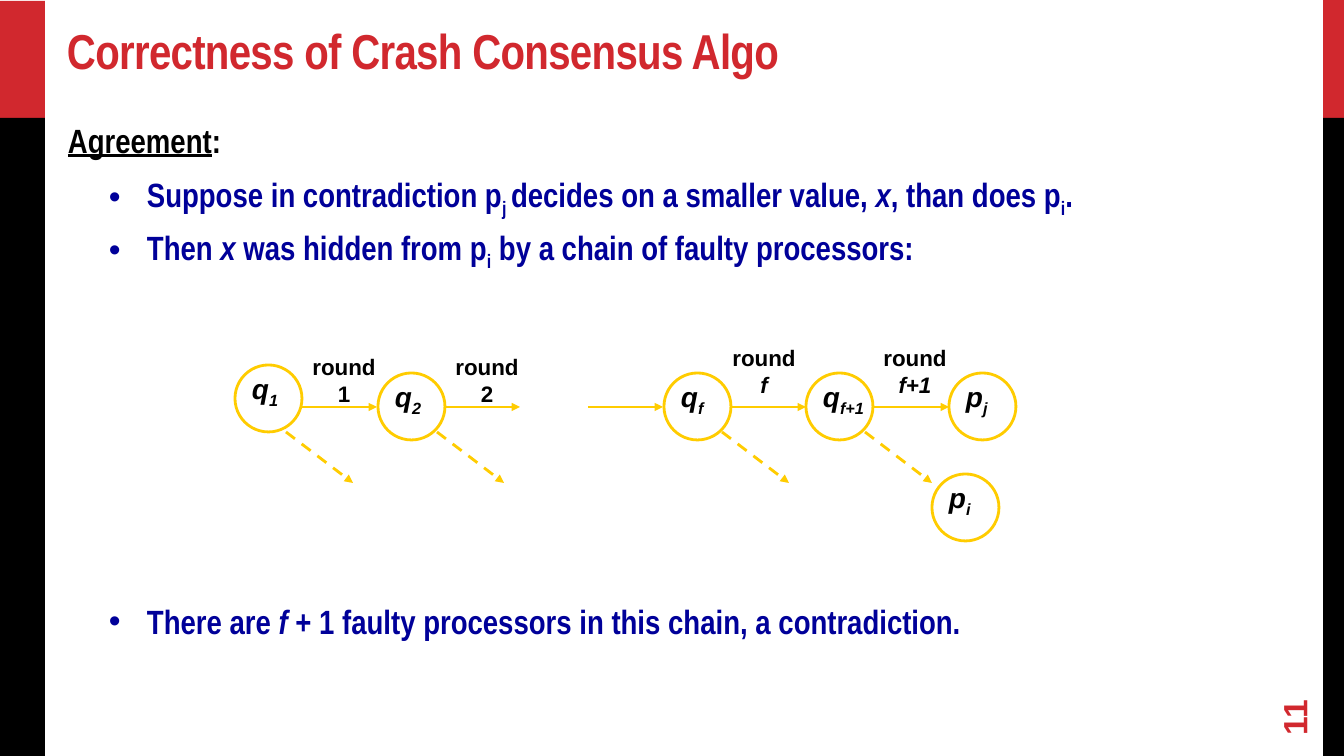
from lxml import etree
from pptx import Presentation
from pptx.dml.color import RGBColor
from pptx.enum.dml import MSO_LINE
from pptx.enum.shapes import MSO_CONNECTOR, MSO_SHAPE
from pptx.enum.text import MSO_ANCHOR, PP_ALIGN
from pptx.oxml.ns import qn
from pptx.util import Emu, Pt

RECT, OVAL = MSO_SHAPE.RECTANGLE, MSO_SHAPE.OVAL
STRAIGHT, DASH = MSO_CONNECTOR.STRAIGHT, MSO_LINE.DASH
TOP, MIDDLE, BOTTOM = MSO_ANCHOR.TOP, MSO_ANCHOR.MIDDLE, MSO_ANCHOR.BOTTOM
LEFT, CENTER = PP_ALIGN.LEFT, PP_ALIGN.CENTER
RED, BLACK, NAVY, GOLD = "D1282E", "000000", "000099", "FFCC00"
EMU_PER_PX = 12192000 / 1344
DIAMETER = 67

prs = Presentation()
prs.slide_width, prs.slide_height = Emu(12192000), Emu(6858000)
slide = prs.slides.add_slide(prs.slide_layouts[6])
shapes = slide.shapes


def px(*lengths):
    return [Emu(round(n * EMU_PER_PX)) for n in lengths]


def add_text(box, paragraphs, size, font="Arial", color=BLACK, anchor=TOP,
             align=LEFT, inset=(10, 5), wrap=True):
    text_box = shapes.add_textbox(*px(*box))
    frame = text_box.text_frame
    side, end = px(*inset)
    settings = {"word_wrap": wrap, "vertical_anchor": anchor,
                "margin_left": side, "margin_right": side,
                "margin_top": end, "margin_bottom": end}
    for name, value in settings.items():
        setattr(frame, name, value)
    for i, runs in enumerate(paragraphs):
        paragraph = frame.paragraphs[0] if i == 0 else frame.add_paragraph()
        paragraph.alignment = align
        for words, style in runs:
            run = paragraph.add_run()
            run.text = words
            font_values = {"size": Pt(size), "name": font, "bold": True,
                           "italic": "i" in style, "underline": "u" in style}
            for name, value in font_values.items():
                setattr(run.font, name, value)
            run.font.color.rgb = RGBColor.from_string(color)
            if "s" in style:
                run.font._element.set("baseline", "-25000")
    return text_box


for x, y, width, height, color in [
    (1323, 0, 21, 151, RED), (1323, 118, 21, 638, BLACK),
    (0, 1, 45, 151, RED), (0, 118, 45, 638, BLACK),
]:
    band = shapes.add_shape(RECT, *px(x, y, width, height))
    band.shadow.inherit = False
    band.fill.solid()
    band.fill.fore_color.rgb = RGBColor.from_string(color)
    band.line.fill.background()

title = add_text((56, 17, 1254, 68), [[("Correctness of Crash Consensus Algo", "")]],
                 35, "Arial Narrow", RED, BOTTOM, inset=(11, 6))
title.text_frame.paragraphs[0].runs[0].font._element.set("spc", "-50")

heading = [("Agreement", "u"), (":", "")]
claims = [
    [("Suppose in contradiction p", ""), ("j ", "s"),
     ("decides on a smaller value, ", ""), ("x", "i"),
     (", than does p", ""), ("i", "s"), (".", "")],
    [("Then ", ""), ("x", "i"), (" was hidden from p", ""), ("i", "s"),
     (" by a chain of faulty processors:", "")],
]
conclusion = [("There are ", ""), ("f ", "i"),
              ("+ 1 faulty processors in this chain, a contradiction.", "")]

for top, height, color, paragraphs in [
    (114, 52, BLACK, [heading]), (168, 112, NAVY, claims), (595, 52, NAVY, [conclusion]),
]:
    body = add_text((57, top, 1232, height), paragraphs, 24, "Arial Narrow", color,
                    inset=(11, 6))
    for paragraph in body.text_frame.paragraphs:
        paragraph.space_before = Pt(5)
        if color == NAVY:
            margin, indent = px(79, -38)
            properties = paragraph._p.get_or_add_pPr()
            properties.set("marL", str(margin))
            properties.set("indent", str(indent))
            bullet_color = etree.SubElement(properties, qn("a:buClr"))
            etree.SubElement(bullet_color, qn("a:srgbClr"), val=NAVY)
            etree.SubElement(properties, qn("a:buFont"), typeface="Arial")
            etree.SubElement(properties, qn("a:buChar"), char="•")

for x, y, letter, index, label_width in [
    (235, 365, "q", "1", 48), (378, 373, "q", "2", 48), (664, 373, "q", "f", 44),
    (806, 373, "q", "f+1", 65), (949, 373, "p", "j", 43), (932, 474, "p", "i", 43),
]:
    processor = shapes.add_shape(OVAL, *px(x, y, DIAMETER, DIAMETER))
    processor.shadow.inherit = False
    processor.fill.background()
    processor.line.color.rgb = RGBColor.from_string(GOLD)
    processor.line.width = Pt(2)
    add_text((x + 7, y + 1, label_width, 44), [[(letter, "i"), (index, "is")]], 20,
             wrap=False)

messages = [(x, 407, x + 75, 407, False) for x in (302, 445, 588, 731, 874)]
lost_messages = [(x, 432, x + 67, 483, True) for x in (286, 437, 722, 865)]
for x1, y1, x2, y2, lost in messages + lost_messages:
    arrow = shapes.add_connector(STRAIGHT, *px(x1, y1, x2, y2))
    arrow.line.color.rgb = RGBColor.from_string(GOLD)
    arrow.line.width = Pt(2)
    if lost:
        arrow.line.dash_style = DASH
    etree.SubElement(arrow.line._get_or_add_ln(), qn("a:tailEnd"), type="triangle")
    etree.SubElement(arrow._element.spPr, qn("a:effectLst"))

for x, y, number, style in [
    (302, 348, "1", ""), (445, 348, "2", ""), (722, 339, "f", "i"), (873, 339, "f+1", "i"),
]:
    add_text((x, y, 84, 64), [[("round", "")], [(number, style)]], 16,
             align=CENTER, wrap=False)

page_number = add_text((1255, 691, 78, 33), [[("11", "")]], 24, color=RED,
                       anchor=MIDDLE, inset=(11, 6))
page_number.rotation = 270

prs.save("out.pptx")
